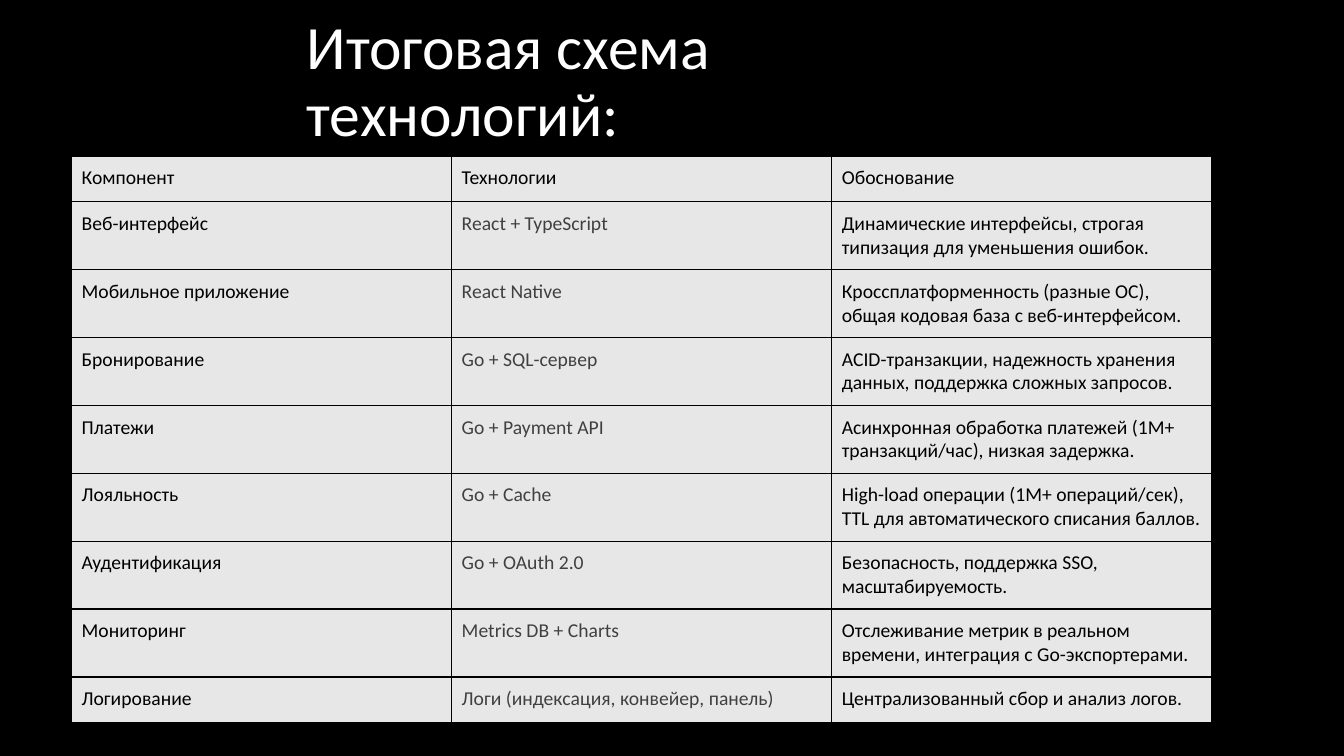
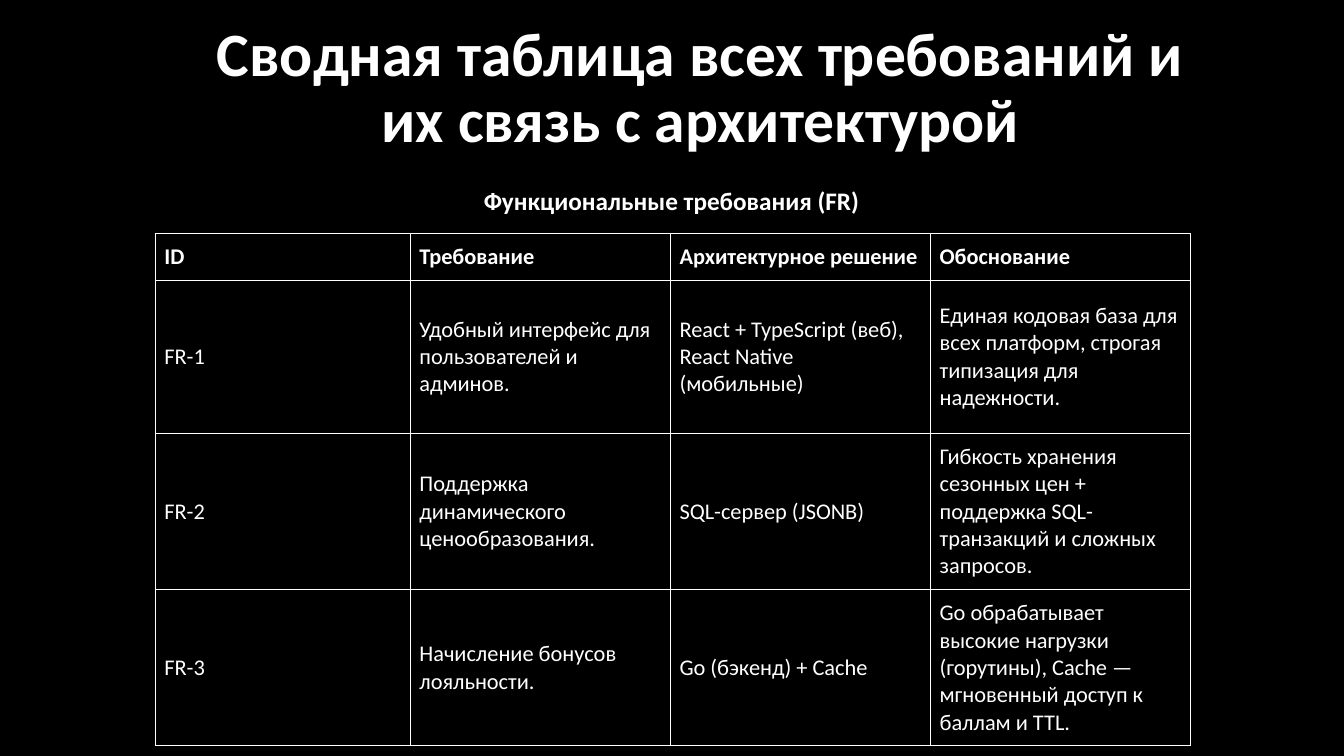
import dataclasses
import typing

import lxml.etree
import pptx
import pptx.dml.color
import pptx.enum.text
import pptx.oxml.ns
import pptx.util

Inches = pptx.util.Inches
Align = pptx.enum.text.PP_ALIGN
Anchor = pptx.enum.text.MSO_ANCHOR
Box = tuple[float, float, float, float]

FONT = "Calibri"
BLACK = "000000"
WHITE = "FFFFFF"
GREY = "404040"
PALE = "E7E7E7"
TITLE_SIZE = 44


@dataclasses.dataclass(frozen=True)
class TableStyle:
    """Describe the look of a table."""

    size: float
    border: str
    margin: float
    anchor: Anchor
    column_colours: tuple[str, ...]
    header_colour: str
    header_bold: bool = False
    fill: typing.Optional[str] = None


@dataclasses.dataclass(frozen=True)
class TableData:
    """Hold the place, grid and wording of a table."""

    left: float
    top: float
    widths: tuple[float, ...]
    heights: tuple[float, ...]
    rows: tuple[tuple[str, ...], ...]


LIGHT = TableStyle(14, BLACK, 0.1, Anchor.TOP, (BLACK, GREY, BLACK), BLACK, fill=PALE)
DARK = TableStyle(16, WHITE, 0.09, Anchor.MIDDLE, (WHITE,) * 4, WHITE, header_bold=True)

TECHNOLOGIES = TableData(
    0.71, 1.55, (3.77,) * 3, (0.45, *(0.67,) * 7, 0.45),
    (
        ("Компонент", "Технологии", "Обоснование"),
        ("Веб-интерфейс", "React + TypeScript",
         "Динамические интерфейсы, строгая типизация для уменьшения ошибок."),
        ("Мобильное приложение", "React Native",
         "Кроссплатформенность (разные ОС), общая кодовая база с веб-интерфейсом."),
        ("Бронирование", "Go + SQL-сервер",
         "ACID-транзакции, надежность хранения данных, поддержка сложных запросов."),
        ("Платежи", "Go + Payment API",
         "Асинхронная обработка платежей (1M+ транзакций/час), низкая задержка."),
        ("Лояльность", "Go + Cache",
         "High-load операции (1M+ операций/сек), TTL для автоматического списания баллов."),
        ("Аудентификация", "Go + OAuth 2.0",
         "Безопасность, поддержка SSO, масштабируемость."),
        ("Мониторинг", "Metrics DB + Charts",
         "Отслеживание метрик в реальном времени, интеграция с Go-экспортерами."),
        ("Логирование", "Логи (индексация, конвейер, панель)",
         "Централизованный сбор и анализ логов."),
    ),
)

REQUIREMENTS = TableData(
    1.54, 2.32, (2.53, *(2.58,) * 3), (0.46, 1.52, 1.55, 1.55),
    (
        ("ID", "Требование", "Архитектурное решение", "Обоснование"),
        ("FR-1", "Удобный интерфейс для пользователей и админов.",
         "React + TypeScript (веб), React Native (мобильные)",
         "Единая кодовая база для всех платформ, строгая типизация для надежности."),
        ("FR-2", "Поддержка динамического ценообразования.", "SQL-сервер (JSONB)",
         "Гибкость хранения сезонных цен + поддержка SQL-транзакций и сложных запросов."),
        ("FR-3", "Начисление бонусов лояльности.", "Go (бэкенд) + Cache",
         "Go обрабатывает высокие нагрузки (горутины), Cache — мгновенный доступ к баллам и TTL."),
    ),
)


def colour(value: str) -> pptx.dml.color.RGBColor:
    """Turn a hex string into a colour."""
    return pptx.dml.color.RGBColor.from_string(value)


def add_span(para: typing.Any, text: str, size: float, hue: str, bold: bool = False) -> None:
    """Add one formatted run to a paragraph."""
    span = para.add_run()
    span.text = text
    span.font.name = FONT
    span.font.size = pptx.util.Pt(size)
    span.font.bold = bold
    span.font.color.rgb = colour(hue)


def add_page(deck: typing.Any, title: str, place: Box, align: Align, bold: bool) -> typing.Any:
    """Add a page with its title."""
    page = deck.slides.add_slide(deck.slide_layouts.get_by_name("Title Only"))
    box = page.shapes.title
    box.left, box.top, box.width, box.height = map(Inches, place)
    frame = box.text_frame
    frame.word_wrap = True
    frame.auto_size = pptx.enum.text.MSO_AUTO_SIZE.NONE
    frame.vertical_anchor = Anchor.MIDDLE
    para = frame.paragraphs[0]
    para.alignment = align
    para.line_spacing = 0.9
    add_span(para, title, TITLE_SIZE, WHITE, bold)
    return page


def add_caption(page: typing.Any, text: str, place: Box) -> None:
    """Add a bold caption above a table."""
    box = page.shapes.add_textbox(*map(Inches, place))
    box.text_frame.word_wrap = True
    add_span(box.text_frame.paragraphs[0], text, 18, WHITE, True)


def set_borders(cell: typing.Any, hue: str) -> None:
    """Draw a one-point line on each side of a cell."""
    qn = pptx.oxml.ns.qn
    properties = cell._tc.get_or_add_tcPr()
    for side in ("a:lnL", "a:lnR", "a:lnT", "a:lnB"):
        line = lxml.etree.SubElement(properties, qn(side), w=str(pptx.util.Pt(1)))
        fill = lxml.etree.SubElement(line, qn("a:solidFill"))
        lxml.etree.SubElement(fill, qn("a:srgbClr"), val=hue)


def format_cell(cell: typing.Any, style: TableStyle) -> None:
    """Set the margins, anchor, borders and fill of a cell."""
    margin = Inches(style.margin)
    cell.margin_left = cell.margin_right = margin
    cell.margin_top = cell.margin_bottom = margin
    cell.vertical_anchor = style.anchor
    set_borders(cell, style.border)
    if style.fill:
        cell.fill.solid()
        cell.fill.fore_color.rgb = colour(style.fill)
    else:
        cell.fill.background()


def add_table(page: typing.Any, data: TableData, style: TableStyle) -> None:
    """Add a table in the given style."""
    size = (data.left, data.top, sum(data.widths), sum(data.heights))
    table = page.shapes.add_table(
        len(data.rows), len(data.widths), *map(Inches, size)
    ).table
    table.first_row = table.horz_banding = False
    for column, width in zip(table.columns, data.widths):
        column.width = Inches(width)
    for index, (row, height, texts) in enumerate(zip(table.rows, data.heights, data.rows)):
        row.height = Inches(height)
        header = index == 0
        for cell, text, hue in zip(row.cells, texts, style.column_colours):
            format_cell(cell, style)
            add_span(
                cell.text_frame.paragraphs[0], text, style.size,
                style.header_colour if header else hue,
                header and style.header_bold,
            )


def main() -> None:
    """Build and save the deck."""
    deck = pptx.Presentation()
    deck.slide_width, deck.slide_height = Inches(13.33), Inches(7.5)
    background = deck.slide_master.background.fill
    background.solid()
    background.fore_color.rgb = colour(BLACK)

    page = add_page(
        deck, "Итоговая схема технологий:", (2.94, 0.1, 7.45, 1.45), Align.LEFT, False
    )
    add_table(page, TECHNOLOGIES, LIGHT)

    page = add_page(
        deck, "Сводная таблица всех требований и их связь с архитектурой",
        (1.72, 0.12, 10.46, 1.54), Align.CENTER, True,
    )
    add_table(page, REQUIREMENTS, DARK)
    add_caption(page, "Функциональные требования (FR)", (4.7, 1.79, 3.94, 0.4))

    deck.save("out.pptx")


if __name__ == "__main__":
    main()
